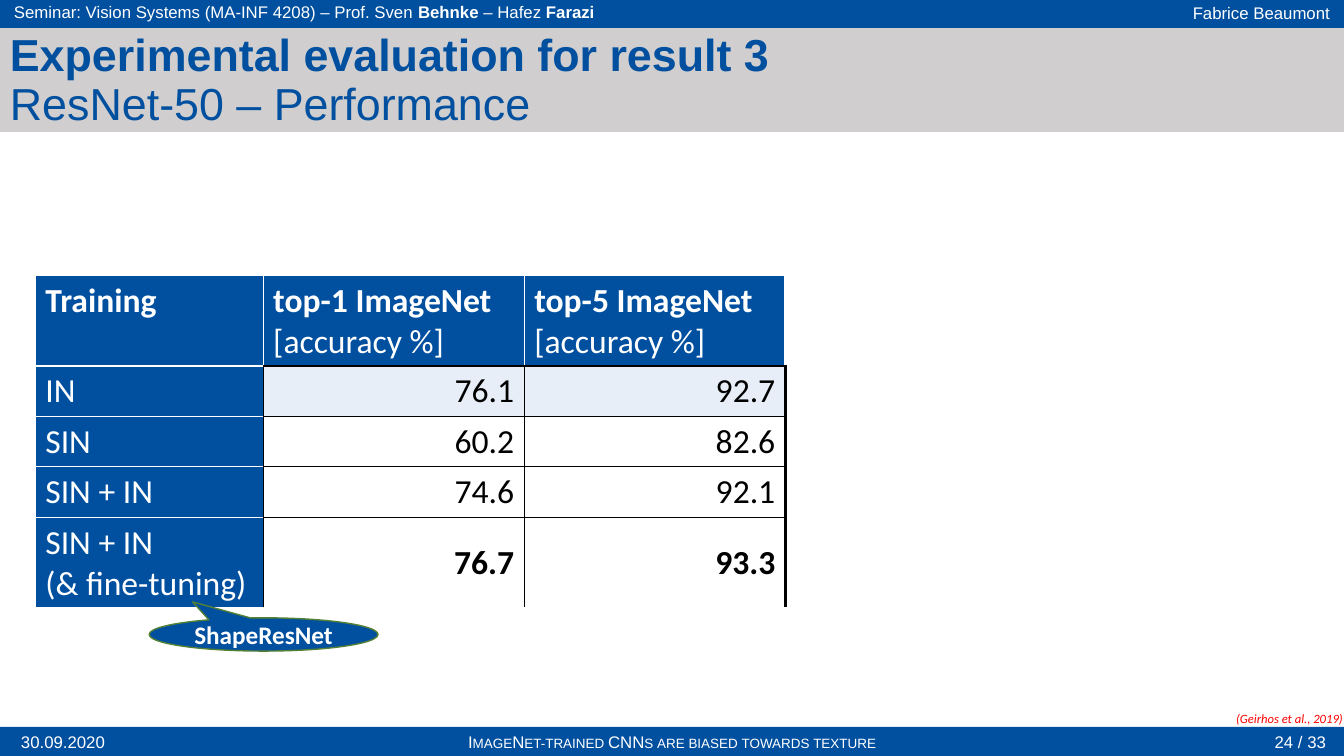
import pptx
import pptx.util
import pptx.oxml
import pptx.oxml.ns
import pptx.dml.color
import pptx.enum.shapes
import pptx.enum.text

Inches, Pt = pptx.util.Inches, pptx.util.Pt
SHAPE = pptx.enum.shapes.MSO_SHAPE
ALIGN = pptx.enum.text.PP_ALIGN
MIDDLE = pptx.enum.text.MSO_ANCHOR.MIDDLE
HEX = {"blue": "0150A0", "grey": "D0CECE", "pale": "E8EEF8", "white": "FFFFFF",
       "black": "000000", "red": "FF0000", "green": "538035"}
RGB = {name: pptx.dml.color.RGBColor.from_string(code) for name, code in HEX.items()}

deck = pptx.Presentation()
deck.slide_width, deck.slide_height = Inches(13.33), Inches(7.5)
slide = deck.slides.add_slide(deck.slide_layouts[6])


def style(para, size, color, face="Arial", align=ALIGN.LEFT, bold=False):
    para.alignment = align
    for run in para.runs:
        run.font.size, run.font.name, run.font.bold = Pt(size), face, bold
        run.font.color.rgb = RGB[color]


def label(text, box, size, color, **look):
    shape = slide.shapes.add_textbox(*map(Inches, box))
    shape.text_frame.word_wrap = True
    para = shape.text_frame.paragraphs[0]
    para.text = text
    style(para, size, color, **look)
    return shape.text_frame


# Header, footer and title bands
for top, height, color in [(7.21, 0.29, "blue"), (-0.01, 0.29, "blue"), (0.28, 1.03, "grey")]:
    band = slide.shapes.add_shape(SHAPE.RECTANGLE, 0, Inches(top), Inches(13.33), Inches(height))
    band.shadow.inherit = False
    band.fill.solid()
    band.fill.fore_color.rgb = RGB[color]
    band.line.fill.background()

# Header and footer text
bars = [
    ("Fabrice Beaumont", 10.41, -0.02, 2.88, ALIGN.RIGHT),
    ("30.09.2020", 0.02, 7.21, 1.21, ALIGN.CENTER),
    ("ImageNet-trained CNNs are biased towards texture", 3.99, 7.21, 5.35, ALIGN.CENTER),
    ("24 / 33", 12.34, 7.21, 0.91, ALIGN.RIGHT),
    ("", 0.04, -0.03, 8.25, ALIGN.LEFT),
]
for text, left, top, width, align in bars:
    frame = label(text, (left, top, width, 0.29), 12, "white", align=align)
    frame.vertical_anchor = MIDDLE
    if text.startswith("ImageNet"):
        frame.paragraphs[0].runs[0].font._element.set("cap", "small")

# Seminar line, the last bar, with bold surnames
para = frame.paragraphs[0]
for part in ["Seminar: Vision Systems (MA-INF 4208) – Prof. Sven ", "Behnke", " – Hafez ", "Farazi"]:
    para.add_run().text = part
style(para, 12, "white")
for run in para.runs[1::2]:
    run.font.bold = True

# Title
frame = label("Experimental evaluation for result 3\vResNet-50 – Performance",
              (0, 0.28, 11.5, 1.03), 32, "blue")
frame.paragraphs[0].line_spacing = 0.9
frame.paragraphs[0].runs[0].font.bold = True

# Accuracy table
rows = [
    ("Training", "top-1 ImageNet\v[accuracy %]", "top-5 ImageNet\v[accuracy %]"),
    ("IN", "76.1", "92.7"),
    ("SIN", "60.2", "82.6"),
    ("SIN + IN", "74.6", "92.1"),
    ("SIN + IN\v(& fine-tuning)", "76.7", "93.3"),
]
last = len(rows) - 1
table = slide.shapes.add_table(5, 3, Inches(0.35), Inches(2.73), Inches(7.44), Inches(3.32)).table
table.horz_banding = False
for col, width in zip(table.columns, [2.26, 2.59, 2.59]):
    col.width = Inches(width)
for row, height in zip(table.rows, [0.9, 0.5, 0.5, 0.5, 0.9]):
    row.height = Inches(height)

for r, row in enumerate(rows):
    for c, text in enumerate(row):
        cell = table.cell(r, c)
        value = r > 0 and c > 0
        para = cell.text_frame.paragraphs[0]
        para.text = text
        if value:
            cell.vertical_anchor = MIDDLE
            style(para, 24, "black", "Calibri", ALIGN.RIGHT, r == last)
        else:
            style(para, 24, "white", "Calibri")
            para.runs[0].font.bold = r == 0

        # Borders: black around values, thick on the right edge
        ink = "black" if value else "white"
        sides = {"L": ink, "R": ink, "T": ink, "B": ink}
        if r == 0 and c > 0:
            sides["B"] = "black"
        if r > 0 and c == 0:
            sides["R"] = "black"
        if r == last:
            sides["B"] = "white"
        for side, color in sides.items():
            wide = Pt(3 if side == "R" and c == 2 else 1)
            cell._tc.get_or_add_tcPr().append(pptx.oxml.parse_xml(
                f'<a:ln{side} {pptx.oxml.ns.nsdecls("a")} w="{wide}"><a:solidFill>'
                f'<a:srgbClr val="{HEX[color]}"/></a:solidFill></a:ln{side}>'))

        # Fill
        if value and r > 1:
            cell.fill.background()
        else:
            cell.fill.solid()
            cell.fill.fore_color.rgb = RGB["pale" if value else "blue"]

# Citation
frame = label("(Geirhos et al., 2019)", (12.26, 7.05, 1.07, 0.15), 9, "red", face="Calibri")
frame.margin_left = frame.margin_right = frame.margin_top = frame.margin_bottom = 0
frame.word_wrap = False
frame.paragraphs[0].runs[0].font.italic = True

# Callout on the fine-tuned model
bubble = slide.shapes.add_shape(SHAPE.OVAL_CALLOUT, Inches(1.48), Inches(6.13), Inches(2.27), Inches(0.33))
bubble.adjustments[0], bubble.adjustments[1] = -0.31, -0.98
bubble.shadow.inherit = False
bubble.fill.solid()
bubble.fill.fore_color.rgb = RGB["blue"]
bubble.line.color.rgb = RGB["green"]
bubble.line.width = Pt(1)
bubble.text_frame.vertical_anchor = MIDDLE
bubble.text_frame.text = "ShapeResNet"
style(bubble.text_frame.paragraphs[0], 18, "white", "Calibri", ALIGN.CENTER, True)

deck.save("out.pptx")
